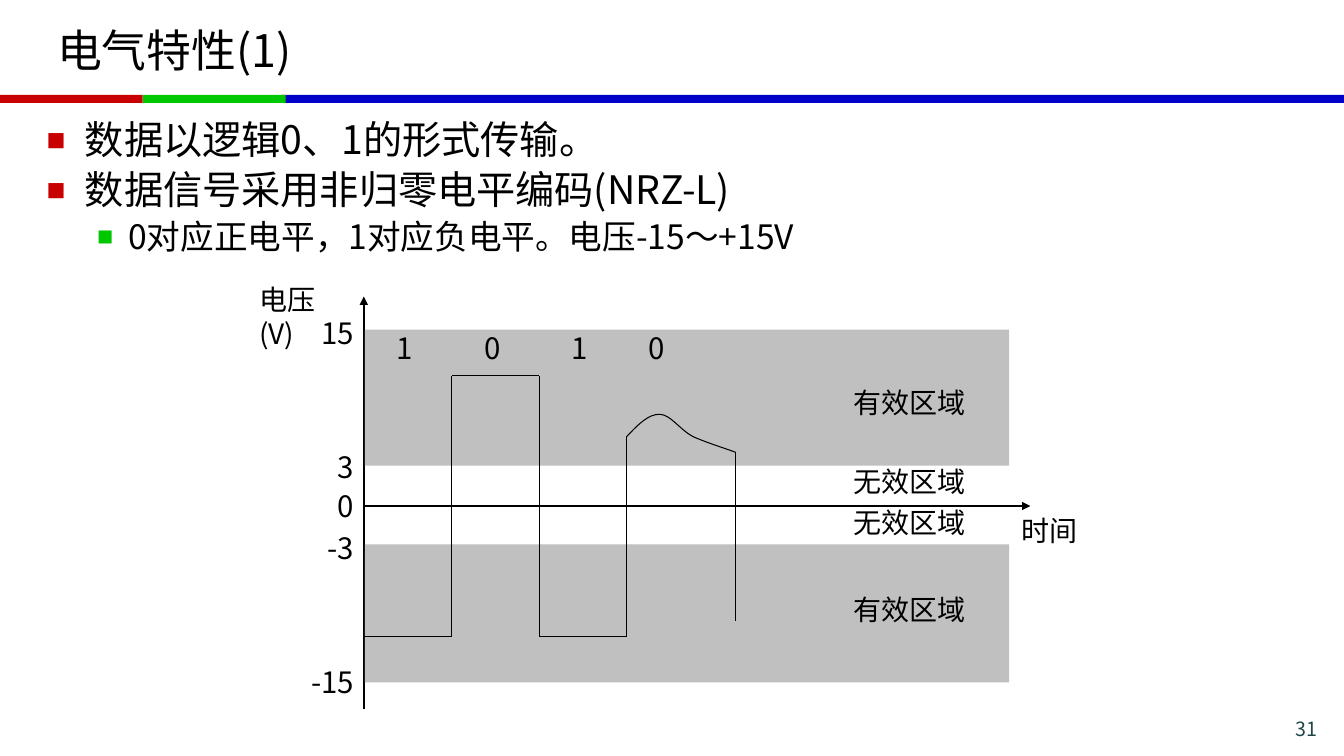
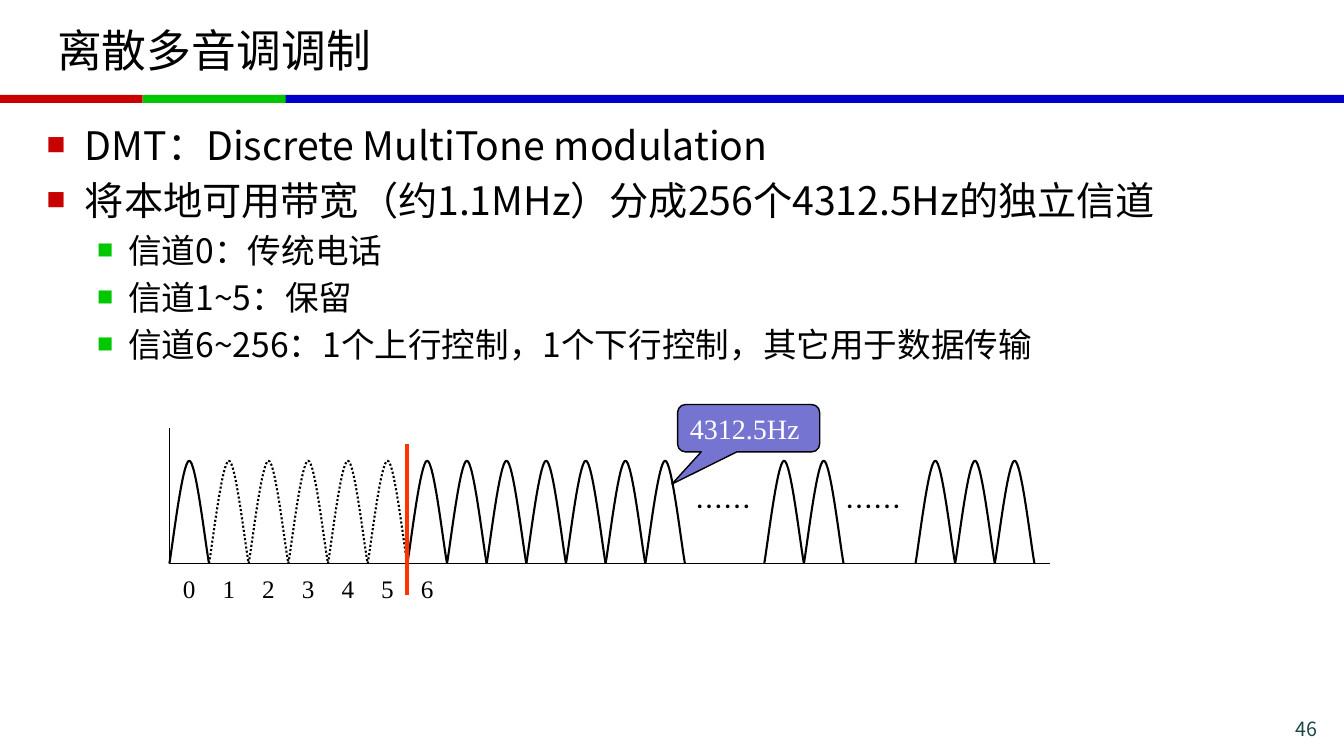
from itertools import pairwise

from lxml.etree import SubElement
from pptx import Presentation
from pptx.dml.color import RGBColor
from pptx.enum.dml import MSO_LINE
from pptx.enum.shapes import MSO_CONNECTOR, MSO_SHAPE
from pptx.enum.text import MSO_ANCHOR, PP_ALIGN
from pptx.oxml.ns import qn
from pptx.util import Inches, Pt

COLOURS = {
    "ink": "000000", "white": "FFFFFF", "red": "C80000", "green": "00C800",
    "blue": "0000C8", "page": "1E4649", "zone": "C0C0C0",
    "split": "FF3300", "callout": "7575D1",
}
SANS, SERIF = "Noto Sans CJK SC", "Times New Roman"
WIDTH, HEIGHT = Inches(13.33), Inches(7.5)
CELL = HEIGHT / 90
GRID_COLUMNS = WIDTH / CELL
NO_INSETS = dict.fromkeys(("margin_left", "margin_top", "margin_right", "margin_bottom"), 0)
BULLETS = [
    {"size": 28, "colour": "red", "left": 0.38, "hang": 0.38},
    {"size": 24, "colour": "green", "left": 0.81, "hang": 0.31},
]
STRIPES = [("blue", 33.5, GRID_COLUMNS), ("red", 0, 17), ("green", 17, 34)]

AXIS_X, ZONE_X, ZERO_Y = 43.3, 43.44, 60.24
LEVELS = {"15": 39.24, "3": 55.44, "0": ZERO_Y, "-3": 64.8, "-15": 81.24}
LEVEL_LABEL_TOPS = {"15": 37.5, "3": 53.5, "0": 58.15, "-3": 63.05, "-15": 79.05}
BIT_X, BIT_WIDTH, HIGH_Y, LOW_Y = 43.35, 10.42, 44.76, 75.72

CHANNEL_X, CHANNEL_WIDTH = 20.16, 4.72
BASE_Y, LOBE_HEIGHT = 67.08, 12.24
LOBE = [(0, 1), (0.08, 0.83), (0.33, 0), (0.5, 0), (0.67, 0), (0.9, 0.79), (1, 1)]


def grid(*cells):
    return [round(cell * CELL) for cell in cells]


def rgb(name):
    return RGBColor.from_string(COLOURS[name])


def apply(target, values):
    for attribute, value in values.items():
        setattr(target, attribute, value)


def set_line(line, width, dash=None):
    line.color.rgb = rgb("ink")
    line.width = Pt(width)
    if dash:
        line.dash_style = dash


def write(paragraph, text, size, font=SANS, colour="ink", **layout):
    apply(paragraph, layout)
    run = paragraph.add_run()
    run.text = text
    apply(run.font, {"size": Pt(size), "name": font})
    run.font.color.rgb = rgb(colour)
    SubElement(run.font._element, qn("a:ea"), typeface=font)


def add_text(slide, box, text, size, frame=None, **style):
    text_frame = slide.shapes.add_textbox(*grid(*box)).text_frame
    apply(text_frame, {"word_wrap": True, **(frame or {})})
    write(text_frame.paragraphs[0], text, size, **style)


def add_label(slide, box, text, size, wrap=False, **style):
    add_text(slide, box, text, size, {"word_wrap": wrap, **NO_INSETS}, **style)


def add_block(slide, box, colour, preset=MSO_SHAPE.RECTANGLE):
    block = slide.shapes.add_shape(preset, *grid(*box))
    block.shadow.inherit = False
    block.fill.solid()
    block.fill.fore_color.rgb = rgb(colour)
    block.line.fill.background()
    return block


def add_line(slide, start, end, width, colour="ink", arrow=False):
    connector = slide.shapes.add_connector(MSO_CONNECTOR.STRAIGHT, *grid(*start, *end))
    set_line(connector.line, width)
    connector.line.color.rgb = rgb(colour)
    if arrow:
        SubElement(connector.line._get_or_add_ln(), qn("a:tailEnd"), type="triangle")
    SubElement(connector._element.spPr, qn("a:effectLst"))


def add_curve(slide, points, width, dash=None):
    outline = slide.shapes.build_freeform(*grid(*points[0]))
    outline.add_line_segments([grid(*point) for point in points[1:]], close=False)
    curve = outline.convert_to_shape()
    curve.shadow.inherit = False
    curve.fill.background()
    set_line(curve.line, width, dash)
    segments = list(curve._element.iter(qn("a:lnTo")))
    drawing = segments[0].getparent()
    for first in range(0, len(segments), 3):
        bezier = SubElement(drawing, qn("a:cubicBezTo"))
        for segment in segments[first:first + 3]:
            bezier.append(segment[0])
            drawing.remove(segment)


def add_bullet(paragraph, level):
    bullet = BULLETS[level]
    properties = paragraph._p.get_or_add_pPr()
    properties.set("marL", str(Inches(bullet["left"])))
    properties.set("indent", str(-Inches(bullet["hang"])))
    colour = SubElement(properties, qn("a:buClr"))
    SubElement(colour, qn("a:srgbClr"), val=COLOURS[bullet["colour"]])
    SubElement(properties, qn("a:buSzPct"), val="80000")
    SubElement(properties, qn("a:buFont"), typeface=SERIF)
    SubElement(properties, qn("a:buChar"), char="■")


def add_body(slide, items, line_spacing):
    body = slide.shapes.add_textbox(*grid(4.38, 13.8, 151.2, 71.4)).text_frame
    body.word_wrap = True
    for index, (level, text) in enumerate(items):
        paragraph = body.add_paragraph() if index else body.paragraphs[0]
        size = BULLETS[level]["size"]
        add_bullet(paragraph, level)
        write(paragraph, text, size, level=level, line_spacing=line_spacing,
              space_before=Pt(size * 0.2 if index else 0))


def add_page(deck, title, number, items, line_spacing=1.0):
    slide = deck.slides.add_slide(deck.slide_layouts[6])
    for colour, left, right in STRIPES:
        add_block(slide, (left, 11.3, right - left, 0.96), colour)
    add_text(slide, (5.62, 0.9, 148.7, 10), title, 32, {"vertical_anchor": MSO_ANCHOR.MIDDLE})
    add_body(slide, items, line_spacing)
    add_text(slide, (142.4, 84.75, 15.6, 3.4), number, 14, colour="page", alignment=PP_ALIGN.RIGHT)
    return slide


def draw_voltage_chart(slide):
    add_line(slide, (AXIS_X, 84.45), (AXIS_X, 35.3), 1.5, arrow=True)
    add_line(slide, (ZONE_X, ZERO_Y), (122.64, ZERO_Y), 1.5, arrow=True)
    for top, bottom in (("15", "3"), ("-3", "-15")):
        add_block(slide, (ZONE_X, LEVELS[top], 76.66, LEVELS[bottom] - LEVELS[top]), "zone")

    edges = [BIT_X + BIT_WIDTH * bit for bit in range(4)]
    wave = [(edges[0], LOW_Y), (edges[1], LOW_Y), (edges[1], HIGH_Y), (edges[2], HIGH_Y),
            (edges[2], LOW_Y), (edges[3], LOW_Y), (edges[3], 51.96)]
    for start, end in pairwise(wave):
        add_line(slide, start, end, 0.75)
    decay = [wave[-1], (75.96, 50.52), (77.16, 49.32), (78.48, 49.32), (79.8, 49.32),
             (80.88, 51.12), (82.44, 51.96), (84, 52.68), (86.76, 53.52), (87.55, 53.85)]
    add_curve(slide, decay, 0.75)
    add_line(slide, decay[-1], (87.55, 73.92), 0.75)

    for bit, left in zip("1010", (47.2, 57.65, 68, 77.2)):
        add_label(slide, (left, 39.32, 2, 4.2), bit, 21)
    for zone, top in (("有效区域", 45.9), ("无效区域", 55.32), ("无效区域", 60.18), ("有效区域", 70.56)):
        add_label(slide, (101.55, top, 13.44, 4.1), zone, 20)
    add_label(slide, (121.56, 61.08, 6.7, 4.1), "时间", 20)
    add_label(slide, (30.84, 33.66, 7.2, 8.2), "电压(V)", 20, wrap=True)
    for level, top in LEVEL_LABEL_TOPS.items():
        add_label(slide, (36.15, top, 6, 4.2), level, 21, wrap=True, alignment=PP_ALIGN.RIGHT)


def draw_lobe(slide, left, dash):
    top = BASE_Y - LOBE_HEIGHT
    points = [(left + x * CHANNEL_WIDTH, top + y * LOBE_HEIGHT) for x, y in LOBE]
    add_curve(slide, points, 1.5, dash)


def add_channel_numbers(slide, count):
    box = grid(CHANNEL_X, 67.98, CHANNEL_WIDTH * count, 4.72)
    numbers = slide.shapes.add_table(1, count, *box).table
    apply(numbers, {"first_row": False, "horz_banding": False})
    for channel, cell in enumerate(numbers.iter_cells()):
        cell.fill.background()
        write(cell.text_frame.paragraphs[0], str(channel), 18, SERIF, alignment=PP_ALIGN.CENTER)


def draw_channel_chart(slide):
    add_line(slide, (CHANNEL_X, 51), (CHANNEL_X, BASE_Y), 1)
    add_line(slide, (CHANNEL_X, BASE_Y), (125, BASE_Y), 1)
    for start, count in ((CHANNEL_X, 13), (108.96, 3), (CHANNEL_X + 15 * CHANNEL_WIDTH, 2)):
        for channel in range(count):
            reserved = start == CHANNEL_X and 1 <= channel <= 5
            draw_lobe(slide, start + channel * CHANNEL_WIDTH, MSO_LINE.ROUND_DOT if reserved else None)
    add_channel_numbers(slide, 7)
    split_x = CHANNEL_X + 6 * CHANNEL_WIDTH
    add_line(slide, (split_x, 52.9), (split_x, 70.8), 3, "split")
    for left in (81.6, 99.5):
        add_text(slide, (left, 57.65, 10.44, 6), "……", 20, {"word_wrap": False})

    bandwidth = add_block(slide, (80.64, 48.16, 16.92, 5.64), "callout", MSO_SHAPE.ROUNDED_RECTANGULAR_CALLOUT)
    for index, value in enumerate((-0.54, 1.18, 0.17)):
        bandwidth.adjustments[index] = value
    set_line(bandwidth.line, 1)
    bandwidth.text_frame.vertical_anchor = MSO_ANCHOR.MIDDLE
    write(bandwidth.text_frame.paragraphs[0], "4312.5Hz", 20, SERIF, "white", alignment=PP_ALIGN.LEFT)


def main():
    deck = Presentation()
    apply(deck, {"slide_width": WIDTH, "slide_height": HEIGHT})
    draw_voltage_chart(add_page(deck, "电气特性(1)", "31", [
        (0, "数据以逻辑0、1的形式传输。"),
        (0, "数据信号采用非归零电平编码(NRZ-L)"),
        (1, "0对应正电平，1对应负电平。电压-15～+15V"),
    ], 0.9))
    draw_channel_chart(add_page(deck, "离散多音调调制", "46", [
        (0, "DMT：Discrete MultiTone modulation"),
        (0, "将本地可用带宽（约1.1MHz）分成256个4312.5Hz的独立信道"),
        (1, "信道0：传统电话"),
        (1, "信道1~5：保留"),
        (1, "信道6~256：1个上行控制，1个下行控制，其它用于数据传输"),
    ]))
    deck.save("out.pptx")


if __name__ == "__main__":
    main()
